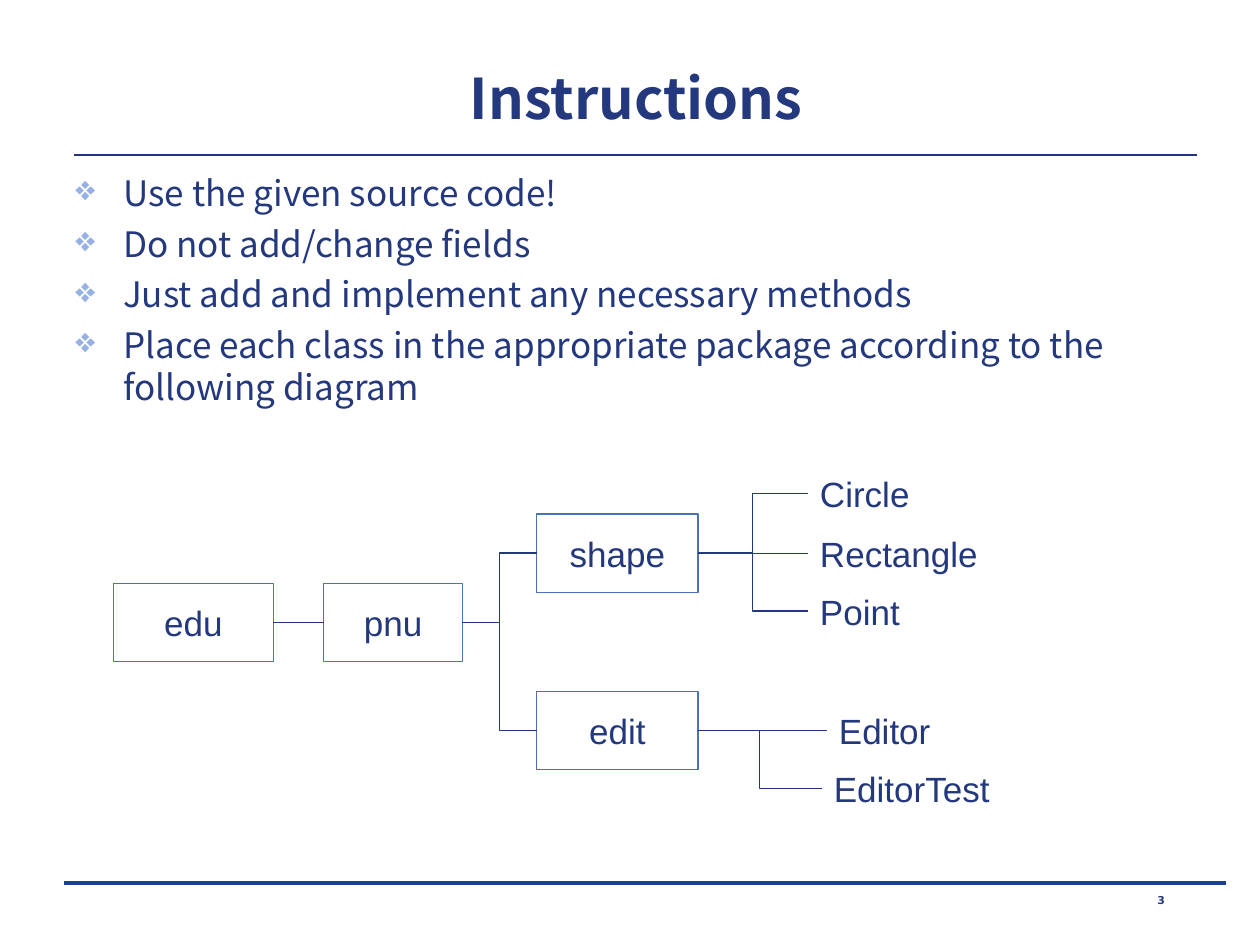
from dataclasses import dataclass

from lxml.etree import SubElement
from pptx import Presentation
from pptx.dml.color import RGBColor
from pptx.enum.shapes import MSO_CONNECTOR, MSO_SHAPE
from pptx.enum.text import MSO_ANCHOR, PP_ALIGN
from pptx.oxml.ns import qn
from pptx.util import Inches, Pt


@dataclass(frozen=True)
class Theme:
    text: str = "23387D"
    bullet: str = "96B1E6"
    box_line: str = "4972BB"
    title_rule: str = "20357C"
    footer_rule: str = "1A3D97"
    heading_font: str = "Noto Sans CJK KR"
    diagram_font: str = "Arial"
    number_font: str = "DejaVu Sans"
    title_size: float = 32
    body_size: float = 20
    number_size: float = 6.2
    thin: float = 0.75


@dataclass(frozen=True)
class Node:
    name: str
    left: float
    top: float
    width: float
    parent: str = ""
    boxed: bool = False


THEME = Theme()
NODE_HEIGHT = 0.62
INDENT = 0.38

INSTRUCTIONS = [
    "Use the given source code!",
    "Do not add/change fields",
    "Just add and implement any necessary methods",
    "Place each class in the appropriate package according to the following diagram",
]

# Parents come before their children
NODES = [
    Node("edu", 0.9, 4.63, 1.27, boxed=True),
    Node("pnu", 2.57, 4.63, 1.1, "edu", boxed=True),
    Node("shape", 4.26, 4.08, 1.28, "pnu", boxed=True),
    Node("edit", 4.26, 5.49, 1.28, "pnu", boxed=True),
    Node("Circle", 6.41, 3.61, 1.73, "shape"),
    Node("Rectangle", 6.41, 4.08, 1.73, "shape"),
    Node("Point", 6.41, 4.54, 1.73, "shape"),
    Node("Editor", 6.56, 5.49, 2.16, "edit"),
    Node("EditorTest", 6.52, 5.95, 2.16, "edit"),
]


def color(value: str) -> RGBColor:
    return RGBColor.from_string(value)


def style(paragraph, font: str, size: float, bold: bool = False) -> None:
    paragraph.font.name = font
    paragraph.font.size = Pt(size)
    paragraph.font.bold = bold
    paragraph.font.color.rgb = color(THEME.text)


def add_text_box(slide, left: float, top: float, width: float, height: float,
                 anchor=MSO_ANCHOR.TOP):
    shape = slide.shapes.add_textbox(
        Inches(left), Inches(top), Inches(width), Inches(height))
    shape.text_frame.word_wrap = True
    shape.text_frame.vertical_anchor = anchor
    return shape


def add_line(slide, kind, start: tuple[float, float], end: tuple[float, float],
             line_color: str, width: float):
    connector = slide.shapes.add_connector(
        kind, *(Inches(value) for value in (*start, *end)))
    connector.line.color.rgb = color(line_color)
    connector.line.width = Pt(width)
    SubElement(connector._element.spPr, qn("a:effectLst"))
    return connector


def add_bullet(paragraph) -> None:
    properties = paragraph._p.get_or_add_pPr()
    properties.set("marL", str(Inches(INDENT)))
    properties.set("indent", str(-Inches(INDENT)))
    bullet_color = SubElement(properties, qn("a:buClr"))
    SubElement(bullet_color, qn("a:srgbClr"), val=THEME.bullet)
    SubElement(properties, qn("a:buChar"), char="❖")


def add_instructions(slide) -> None:
    frame = add_text_box(slide, 0.5, 1.31, 9, 2.29).text_frame
    for index, text in enumerate(INSTRUCTIONS):
        paragraph = frame.add_paragraph() if index else frame.paragraphs[0]
        paragraph.text = text
        add_bullet(paragraph)
        if index:
            paragraph.space_before = Pt(5)
        style(paragraph, THEME.heading_font, THEME.body_size)


def add_node(slide, node: Node):
    if node.boxed:
        shape = slide.shapes.add_shape(
            MSO_SHAPE.RECTANGLE, Inches(node.left), Inches(node.top),
            Inches(node.width), Inches(NODE_HEIGHT))
        shape.shadow.inherit = False
        shape.fill.background()
        shape.line.color.rgb = color(THEME.box_line)
        shape.line.width = Pt(THEME.thin)
        shape.text_frame.vertical_anchor = MSO_ANCHOR.MIDDLE
    else:
        shape = add_text_box(slide, node.left, node.top, node.width,
                             NODE_HEIGHT, MSO_ANCHOR.MIDDLE)
    paragraph = shape.text_frame.paragraphs[0]
    paragraph.text = node.name
    paragraph.alignment = PP_ALIGN.CENTER if node.boxed else PP_ALIGN.LEFT
    style(paragraph, THEME.diagram_font, THEME.body_size)
    return shape


def add_package_diagram(slide) -> None:
    shapes = {}
    for node in NODES:
        shapes[node.name] = add_node(slide, node)
        if node.parent:
            connector = add_line(slide, MSO_CONNECTOR.ELBOW, (0, 0), (1, 1),
                                 THEME.text, THEME.thin)
            connector.begin_connect(shapes[node.parent], 3)
            connector.end_connect(shapes[node.name], 1)


def main() -> None:
    presentation = Presentation()
    presentation.slide_width = Inches(10)
    presentation.slide_height = Inches(7.5)
    slide = presentation.slides.add_slide(presentation.slide_layouts[6])

    # Rules under the title and above the footer
    add_line(slide, MSO_CONNECTOR.STRAIGHT, (0.51, 7.01), (9.73, 7.01),
             THEME.footer_rule, 0)
    add_line(slide, MSO_CONNECTOR.STRAIGHT, (0.59, 1.23), (9.5, 1.23),
             THEME.title_rule, 1.5)

    # Title
    title = add_text_box(slide, 0.6, 0.35, 8.9, 0.84, MSO_ANCHOR.MIDDLE)
    paragraph = title.text_frame.paragraphs[0]
    paragraph.text = "Instructions"
    paragraph.alignment = PP_ALIGN.CENTER
    style(paragraph, THEME.heading_font, THEME.title_size, bold=True)

    # Body
    add_instructions(slide)
    add_package_diagram(slide)

    # Slide number
    number = add_text_box(slide, 8.07, 7.06, 2.29, 0.24)
    paragraph = number.text_frame.paragraphs[0]
    paragraph.text = "3"
    paragraph.alignment = PP_ALIGN.CENTER
    paragraph.line_spacing = 0.8
    style(paragraph, THEME.number_font, THEME.number_size, bold=True)

    presentation.save("out.pptx")


if __name__ == "__main__":
    main()
